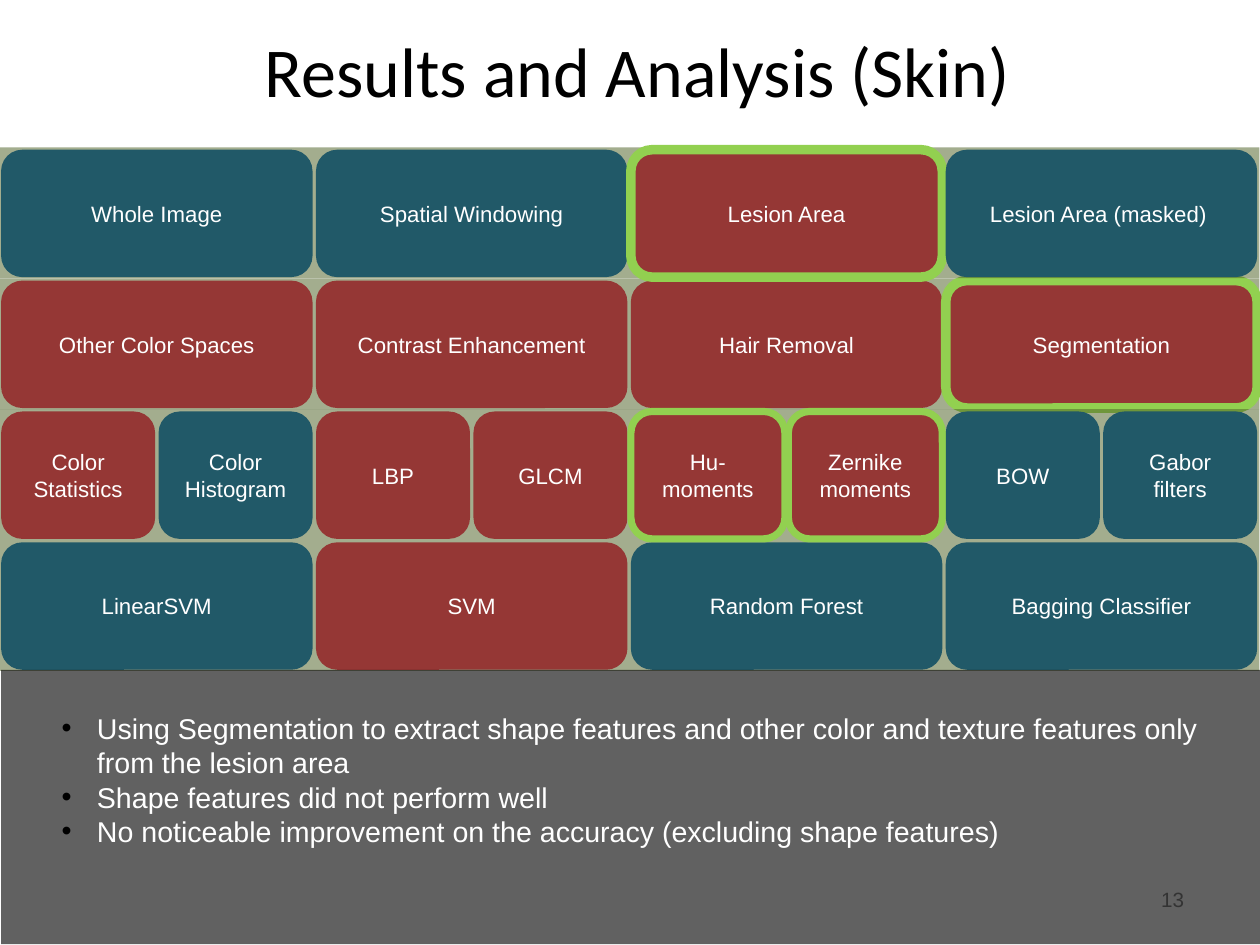
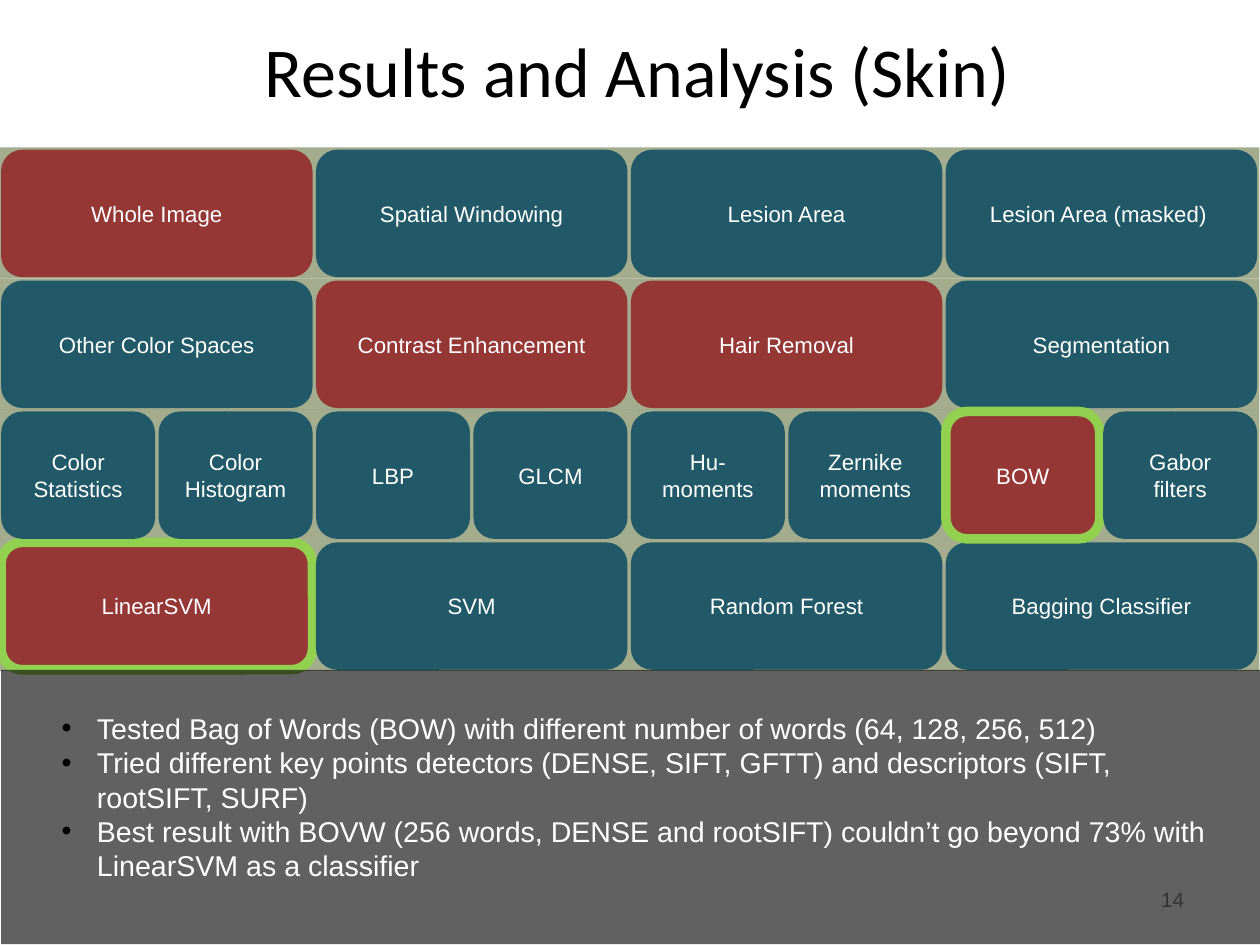
from lxml import etree
from pptx import Presentation
from pptx.dml.color import RGBColor
from pptx.enum.shapes import MSO_SHAPE as Shape
from pptx.enum.text import MSO_ANCHOR as Anchor, MSO_AUTO_SIZE as AutoSize, PP_ALIGN as Align
from pptx.oxml.ns import qn
from pptx.util import Inches, Pt

COLORS = {
    "title": "000000",
    "bullet": "000000",
    "number": "888888",
    "text": "FFFFFF",
    "band": "4F6228",
    "panel": "000000",
    "idle": "215968",
    "used": "953735",
    "highlight": "92D050",
}
PAGE_SIZE = (Pt(793.75), Pt(595.25))
WIDTH = 11.02
TITLE = "Results and Analysis (Skin)"
GRID_BOX = (0, 1.29, WIDTH, 4.58)
PANEL_BOX = (0.01, 5.86, WIDTH, 2.4)
GAP = 0.03
PIPELINE = [
    ["Whole Image", "Spatial Windowing", "Lesion Area", "Lesion Area (masked) "],
    ["Other Color Spaces", "Contrast Enhancement", "Hair Removal", "Segmentation"],
    ["Color Statistics", "Color Histogram", "LBP", "GLCM",
     "Hu-moments", "Zernike moments", "BOW", "Gabor filters"],
    ["LinearSVM", "SVM", "Random Forest", "Bagging Classifier"],
]
IMAGE_ROW, PREPROCESS_ROW, FEATURE_ROW, CLASSIFIER_ROW = range(4)

EXPERIMENTS = [
    {
        "number": 13,
        "used": {
            "Lesion Area": 6, "Other Color Spaces": 0, "Contrast Enhancement": 0,
            "Hair Removal": 0, "Segmentation": 6, "Color Statistics": 0, "LBP": 0,
            "GLCM": 0, "Hu-moments": 4.5, "Zernike moments": 4.5, "SVM": 0,
        },
        "notes": [
            "Using Segmentation to extract shape features and other color and "
            "texture features only from the lesion area",
            "Shape features did not perform well",
            "No noticeable improvement on the accuracy (excluding shape features)",
        ],
    },
    {
        "number": 14,
        "used": {
            "Whole Image": 0, "Contrast Enhancement": 0, "Hair Removal": 0,
            "BOW": 6, "LinearSVM": 6,
        },
        "notes": [
            "Tested Bag of Words (BOW) with different number of words (64, 128, 256, 512)",
            "Tried different key points detectors (DENSE, SIFT, GFTT) and "
            "descriptors (SIFT, rootSIFT, SURF)",
            "Best result with BOVW (256 words, DENSE and rootSIFT) couldn’t go "
            "beyond 73% with LinearSVM as a classifier",
        ],
    },
]


def color(name):
    return RGBColor.from_string(COLORS[name])


def write(para, text, size, fill, font="Arial", align=Align.LEFT, spacing=None):
    para.alignment = align
    para.line_spacing = spacing
    span = para.add_run()
    span.text = text
    span.font.size = Pt(size)
    span.font.name = font
    span.font.color.rgb = color(fill)


def add_bullet(para):
    props = para._p.get_or_add_pPr()
    props.set("marL", str(Inches(0.31)))
    props.set("indent", str(-Inches(0.31)))
    tint = etree.SubElement(props, qn("a:buClr"))
    etree.SubElement(tint, qn("a:srgbClr"), val=COLORS["bullet"])
    etree.SubElement(props, qn("a:buFont"), typeface="Arial")
    etree.SubElement(props, qn("a:buChar"), char="•")


def add_text_frame(page, box, anchor=Anchor.TOP, inset=(0.1, 0.05)):
    frame = page.shapes.add_textbox(*map(Inches, box)).text_frame
    frame.word_wrap = True
    frame.vertical_anchor = anchor
    frame.margin_left = frame.margin_right = Inches(inset[0])
    frame.margin_top = frame.margin_bottom = Inches(inset[1])
    return frame


def add_block(page, box, fill, kind=Shape.RECTANGLE, opacity=100, outline=0):
    block = page.shapes.add_shape(kind, *map(Inches, box))
    block.shadow.inherit = False
    block.fill.solid()
    block.fill.fore_color.rgb = color(fill)
    if opacity < 100:
        tint = block.fill._xPr.find(qn("a:solidFill"))[0]
        etree.SubElement(tint, qn("a:alpha"), val=str(opacity * 1000))
    if outline:
        block.line.color.rgb = color("highlight")
        block.line.width = Pt(outline)
    else:
        block.line.fill.background()
    return block


def add_title(page, box):
    frame = add_text_frame(page, box, Anchor.MIDDLE, (0.11, 0.06))
    write(frame.paragraphs[0], TITLE, 44.1, "title", font="Calibri", align=Align.CENTER)


def add_number(page, box, number):
    frame = add_text_frame(page, box, Anchor.MIDDLE, (0.11, 0.06))
    write(frame.paragraphs[0], str(number), 13, "number", align=Align.RIGHT, spacing=0.93)


def row_box(row):
    left, top, width, height = GRID_BOX
    pitch = height / len(PIPELINE)
    return left, top + row * pitch, width, pitch


def add_band(page, box):
    add_block(page, box, "band", opacity=52)


def add_cells(page, box, labels, used):
    left, top, width, height = box
    pitch = width / len(labels)
    for column, label in enumerate(labels):
        cell_box = (left + 0.01 + column * pitch, top + 0.02, pitch - GAP, height - GAP)
        cell = add_block(page, cell_box, "used" if label in used else "idle",
                         Shape.ROUNDED_RECTANGLE, outline=used.get(label, 0))
        frame = cell.text_frame
        frame.word_wrap = True
        frame.vertical_anchor = Anchor.MIDDLE
        write(frame.paragraphs[0], label, 14, "text", align=Align.CENTER)


def add_notes_panel(page, box, notes):
    left, top, width, height = box
    add_block(page, box, "panel", opacity=62)
    frame = add_text_frame(page, (left + 0.43, top + 0.31, 10.25, 1.62))
    frame.auto_size = AutoSize.SHAPE_TO_FIT_TEXT
    for index, note in enumerate(notes):
        para = frame.add_paragraph() if index else frame.paragraphs[0]
        write(para, note, 18, "text")
        add_bullet(para)


def add_experiment(deck, number, used, notes):
    page = deck.slides.add_slide(deck.slide_layouts[6])
    add_title(page, (0.62, 0.2, 9.92, 0.82))
    add_number(page, (7.9, 7.66, 2.57, 0.44), number)
    for row in (PREPROCESS_ROW, FEATURE_ROW, IMAGE_ROW, CLASSIFIER_ROW):
        add_band(page, row_box(row))
        if row != FEATURE_ROW:
            add_cells(page, row_box(row), PIPELINE[row], used)
    add_notes_panel(page, PANEL_BOX, notes)
    add_cells(page, row_box(FEATURE_ROW), PIPELINE[FEATURE_ROW], used)


def main():
    deck = Presentation()
    deck.slide_width, deck.slide_height = PAGE_SIZE
    for experiment in EXPERIMENTS:
        add_experiment(deck, **experiment)
    deck.save("out.pptx")


if __name__ == "__main__":
    main()
